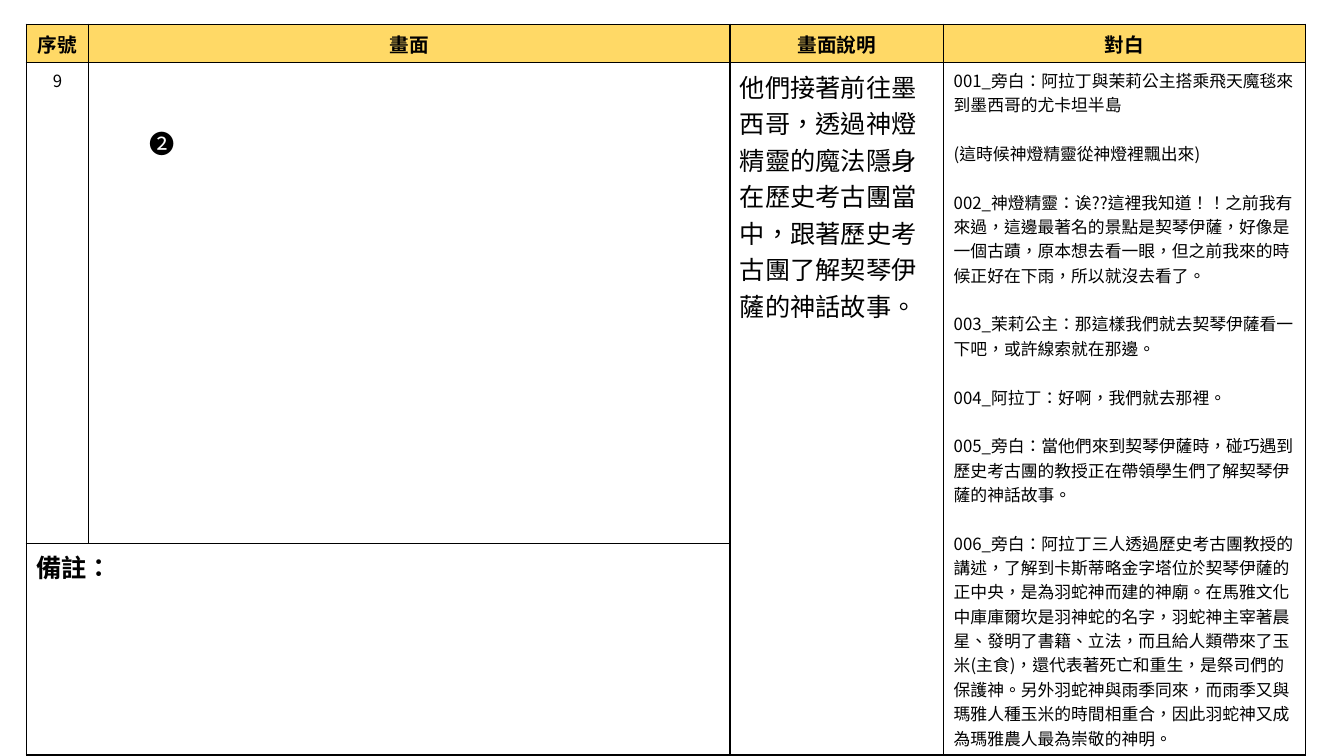
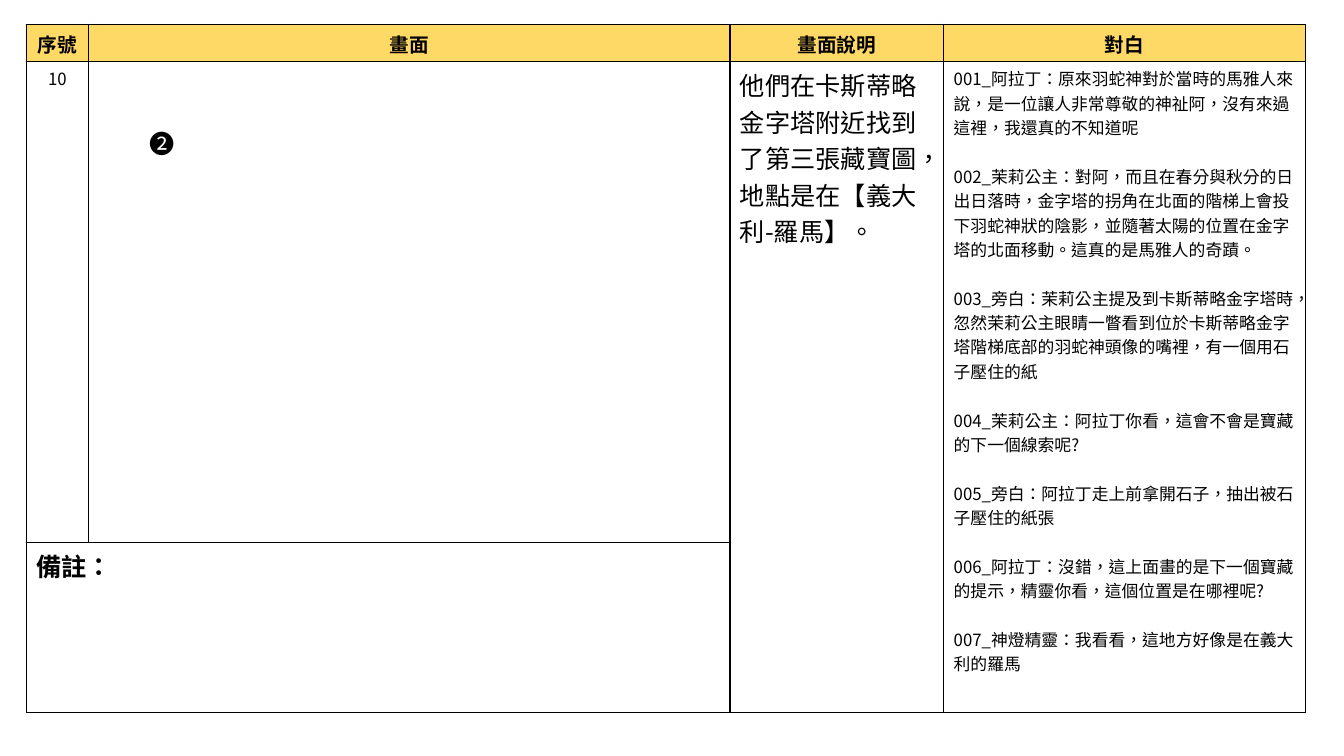
import pptx
import pptx.dml.color
import pptx.enum.lang
import pptx.enum.text
import pptx.oxml.ns
import pptx.util
import lxml.etree

SCALE = 9144
SLIDE_SIZE = (1333, 750)
TABLE_BOX = (26, 24, 1269, 683)
MARKER_OFFSET = (112, 98)
MARKER_SIZE = (43, 40)
COLUMN_WIDTHS = (62, 636, 212, 359)
ROW_HEIGHTS = (37, 477, 169)

BLACK = pptx.dml.color.RGBColor(0x00, 0x00, 0x00)
GOLD = pptx.dml.color.RGBColor(0xFF, 0xD9, 0x66)
FONT = "Noto Sans CJK SC"
BORDER_WIDTH = 12700
BLANK_LAYOUT = 6

CENTER = pptx.enum.text.PP_ALIGN.CENTER
LEFT = pptx.enum.text.PP_ALIGN.LEFT
LANGUAGE = pptx.enum.lang.MSO_LANGUAGE_ID.TRADITIONAL_CHINESE

HEADER = {"size": pptx.util.Pt(14), "bold": True}
NUMBER = {"size": pptx.util.Pt(12), "bold": False}
DESCRIPTION = {"size": pptx.util.Pt(18), "bold": False}
DIALOGUE = {"size": pptx.util.Pt(12), "bold": False}
REMARK = {"size": pptx.util.Pt(18), "bold": True}
DIALOGUE_GAP = pptx.util.Pt(17.4)

HEADINGS = ("序號", "畫面", "畫面說明", "對白")

SCENES = (
    {
        "number": "9",
        "description": "他們接著前往墨西哥，透過神燈精靈的魔法隱身在歷史考古團當中，跟著歷史考古團了解契琴伊薩的神話故事。",
        "dialogue": (
            "001_旁白：阿拉丁與茉莉公主搭乘飛天魔毯來到墨西哥的尤卡坦半島",
            "(這時候神燈精靈從神燈裡飄出來)",
            "002_神燈精靈：诶??這裡我知道！！之前我有來過，這邊最著名的景點是契琴伊薩，好像是一個古蹟，"
            "原本想去看一眼，但之前我來的時候正好在下雨，所以就沒去看了。",
            "003_茉莉公主：那這樣我們就去契琴伊薩看一下吧，或許線索就在那邊。",
            "004_阿拉丁：好啊，我們就去那裡。",
            "005_旁白：當他們來到契琴伊薩時，碰巧遇到歷史考古團的教授正在帶領學生們了解契琴伊薩的神話故事。",
            "006_旁白：阿拉丁三人透過歷史考古團教授的講述，了解到卡斯蒂略金字塔位於契琴伊薩的正中央，"
            "是為羽蛇神而建的神廟。在馬雅文化中庫庫爾坎是羽神蛇的名字，羽蛇神主宰著晨星、發明了書籍、立法，"
            "而且給人類帶來了玉米(主食)，還代表著死亡和重生，是祭司們的保護神。另外羽蛇神與雨季同來，"
            "而雨季又與瑪雅人種玉米的時間相重合，因此羽蛇神又成為瑪雅農人最為崇敬的神明。",
        ),
    },
    {
        "number": "10",
        "description": "他們在卡斯蒂略金字塔附近找到了第三張藏寶圖，地點是在【義大利-羅馬】。",
        "dialogue": (
            "001_阿拉丁：原來羽蛇神對於當時的馬雅人來說，是一位讓人非常尊敬的神祉阿，沒有來過這裡，我還真的不知道呢",
            "002_茉莉公主：對阿，而且在春分與秋分的日出日落時，金字塔的拐角在北面的階梯上會投下羽蛇神狀的陰影，"
            "並隨著太陽的位置在金字塔的北面移動。這真的是馬雅人的奇蹟。",
            "003_旁白：茉莉公主提及到卡斯蒂略金字塔時，忽然茉莉公主眼睛一瞥看到位於卡斯蒂略金字塔階梯底部的"
            "羽蛇神頭像的嘴裡，有一個用石子壓住的紙",
            "004_茉莉公主：阿拉丁你看，這會不會是寶藏的下一個線索呢?",
            "005_旁白：阿拉丁走上前拿開石子，抽出被石子壓住的紙張",
            "006_阿拉丁：沒錯，這上面畫的是下一個寶藏的提示，精靈你看，這個位置是在哪裡呢?",
            "007_神燈精靈：我看看，這地方好像是在義大利的羅馬",
        ),
    },
)


def emu(*lengths):
    return [pptx.util.Emu(length * SCALE) for length in lengths]


def write(text_frame, lines, text_format, alignment=LEFT):
    for index, line in enumerate(lines):
        paragraph = text_frame.paragraphs[0] if index == 0 else text_frame.add_paragraph()
        paragraph.alignment = alignment
        if index:
            paragraph.space_before = DIALOGUE_GAP
        run = paragraph.add_run()
        run.text = line
        values = {"name": FONT, "language_id": LANGUAGE, **text_format}
        for name, value in values.items():
            setattr(run.font, name, value)
        run.font.color.rgb = BLACK
        east_asian = lxml.etree.SubElement(run.font._element, pptx.oxml.ns.qn("a:ea"))
        east_asian.set("typeface", FONT)


def add_borders(cell):
    properties = cell._tc.get_or_add_tcPr()
    for index, side in enumerate(("a:lnL", "a:lnR", "a:lnT", "a:lnB")):
        line = lxml.etree.Element(pptx.oxml.ns.qn(side), w=str(BORDER_WIDTH))
        fill = lxml.etree.SubElement(line, pptx.oxml.ns.qn("a:solidFill"))
        lxml.etree.SubElement(fill, pptx.oxml.ns.qn("a:srgbClr"), val=str(BLACK))
        properties.insert(index, line)


def add_storyboard_table(slide, box, scene):
    table = slide.shapes.add_table(len(ROW_HEIGHTS), len(COLUMN_WIDTHS), *emu(*box)).table
    for name in ("first_row", "horz_banding"):
        setattr(table, name, False)
    for column, width in zip(table.columns, emu(*COLUMN_WIDTHS)):
        column.width = width
    for row, height in zip(table.rows, emu(*ROW_HEIGHTS)):
        row.height = height
    for cell in table.iter_cells():
        cell.fill.background()
        add_borders(cell)
    for column_index, heading in enumerate(HEADINGS):
        cell = table.cell(0, column_index)
        cell.fill.solid()
        cell.fill.fore_color.rgb = GOLD
        write(cell.text_frame, [heading], HEADER, CENTER)
    for column_index in (2, 3):
        table.cell(1, column_index).merge(table.cell(2, column_index))
    table.cell(2, 0).merge(table.cell(2, 1))
    write(table.cell(1, 0).text_frame, [scene["number"]], NUMBER, CENTER)
    write(table.cell(1, 2).text_frame, [scene["description"]], DESCRIPTION)
    write(table.cell(1, 3).text_frame, scene["dialogue"], DIALOGUE)
    write(table.cell(2, 0).text_frame, ["備註："], REMARK)


def add_marker(slide, box):
    text_frame = slide.shapes.add_textbox(*emu(*box)).text_frame
    text_frame.word_wrap = True
    text_frame.auto_size = pptx.enum.text.MSO_AUTO_SIZE.SHAPE_TO_FIT_TEXT
    write(text_frame, ["❷"], DESCRIPTION)


def add_storyboard_slide(presentation, scene):
    slide = presentation.slides.add_slide(presentation.slide_layouts[BLANK_LAYOUT])
    add_storyboard_table(slide, TABLE_BOX, scene)
    left, top = (start + offset for start, offset in zip(TABLE_BOX, MARKER_OFFSET))
    add_marker(slide, (left, top, *MARKER_SIZE))


def main():
    presentation = pptx.Presentation()
    presentation.slide_width, presentation.slide_height = emu(*SLIDE_SIZE)
    for scene in SCENES:
        add_storyboard_slide(presentation, scene)
    presentation.save("out.pptx")


if __name__ == "__main__":
    main()
